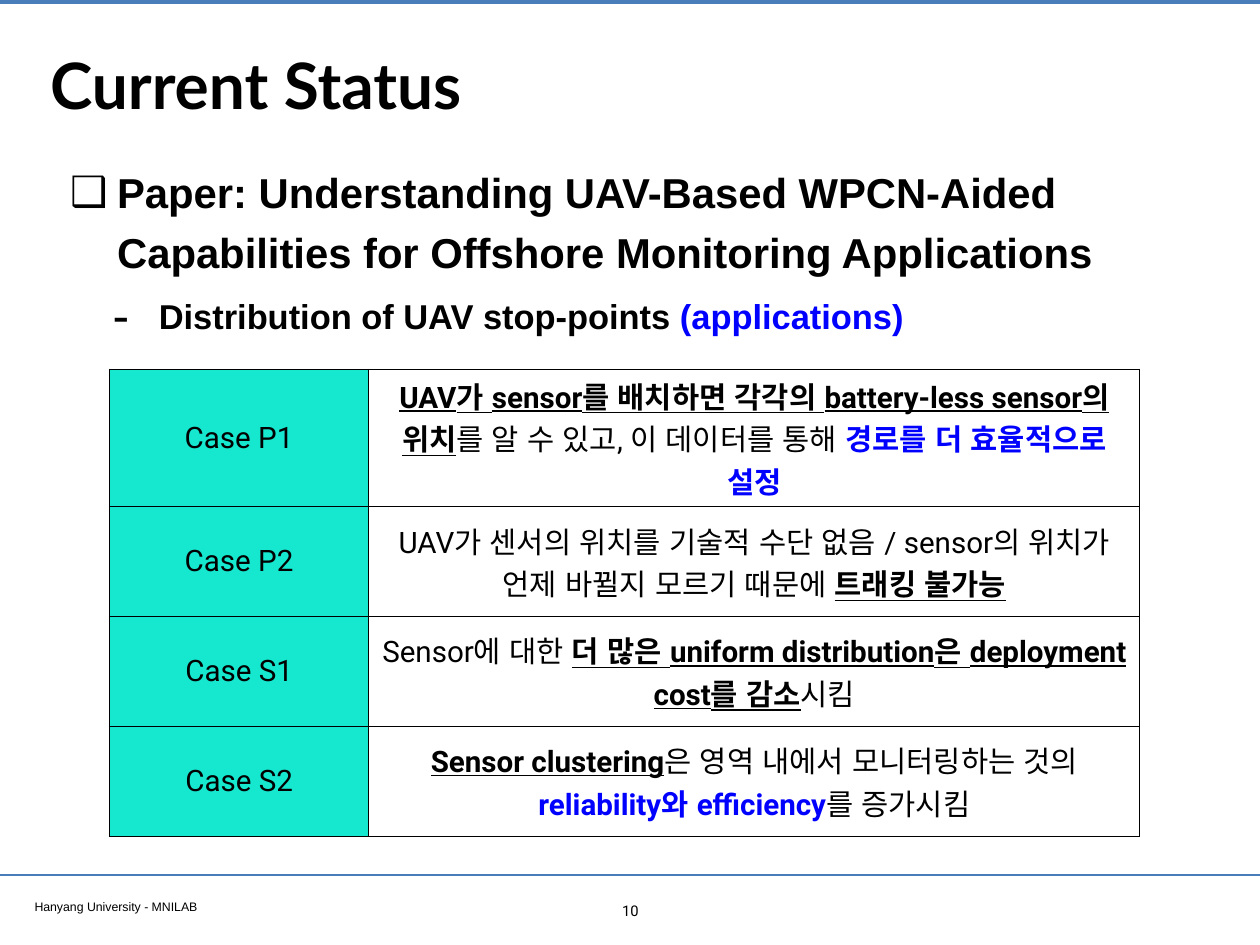
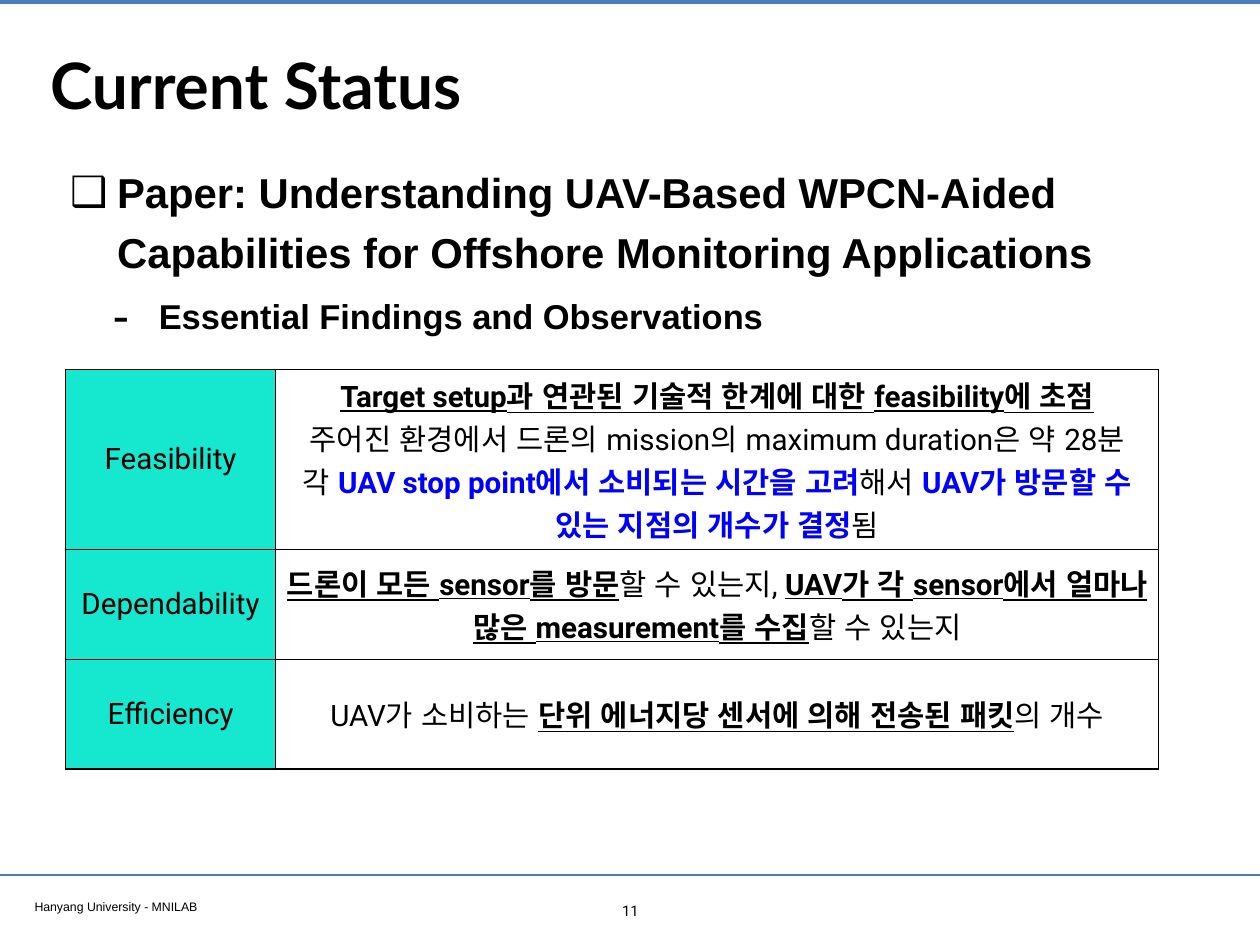
from dataclasses import dataclass

from lxml.etree import SubElement
from pptx import Presentation
from pptx.dml.color import RGBColor
from pptx.enum.lang import MSO_LANGUAGE_ID as Language
from pptx.enum.shapes import MSO_CONNECTOR as Connector
from pptx.enum.text import MSO_ANCHOR as Anchor, MSO_AUTO_SIZE as AutoSize, PP_ALIGN as Align
from pptx.oxml.ns import qn
from pptx.util import Inches, Pt


@dataclass(frozen=True)
class Theme:
    black: str = "000000"
    blue: str = "0000FF"
    rule: str = "4A7EBB"
    label: str = "16E7CF"
    title_font: str = "Lato"
    body_font: str = "Arial"
    table_font: str = "Roboto"
    title_size: int = 52
    topic_size: int = 34
    point_size: int = 28
    table_size: int = 24
    number_size: int = 12
    footer_size: int = 10


@dataclass(frozen=True)
class Span:
    text: str
    blue: bool = False
    bold: bool = False
    underline: bool = False


THEME = Theme()
WIDTH, HEIGHT = Inches(14.22), Inches(10.67)
INSET = Inches(0.06)
TITLE_BOX = (3.55, 2.55, 92.9, 12.65)
BODY_BOX = (5.15, 16.03, 93.88, 29.8)
FOOTER_BOX = (2.32, 94.56, 38.4, 2.44)
NUMBER_BOX = (48.66, 94.85, 2.74, 2.91)
TABLE_TOP, ROW_HEIGHT = 39.08, 11.62
TOPIC = "Paper: Understanding UAV-Based WPCN-Aided Capabilities for Offshore Monitoring Applications"


def across(percent):
    return round(WIDTH * percent / 100)


def down(percent):
    return round(HEIGHT * percent / 100)


def place(box):
    """Turn left, top, width and height in percent of the slide into lengths."""
    left, top, width, height = box
    return across(left), down(top), across(width), down(height)


def key(text):
    return Span(text, bold=True, underline=True)


def blue(text):
    return Span(text, blue=True, bold=True)


def write(paragraph, spans, font, size, bold=False):
    """Fill a paragraph with spans; a bare string is a plain span."""
    for item in spans:
        span = Span(item) if isinstance(item, str) else item
        run = paragraph.add_run()
        run.text = span.text
        run.font.name = font
        run.font.size = Pt(size)
        run.font.bold = bold or span.bold
        run.font.underline = span.underline
        run.font.color.rgb = RGBColor.from_string(THEME.blue if span.blue else THEME.black)
        run.font.language_id = Language.KOREAN


def set_insets(frame):
    frame.word_wrap = True
    frame.margin_left = frame.margin_right = INSET
    frame.margin_top = frame.margin_bottom = INSET


def add_label(slide, box, text, font, size, align=Align.LEFT):
    label = slide.shapes.add_textbox(*place(box))
    set_insets(label.text_frame)
    paragraph = label.text_frame.paragraphs[0]
    paragraph.alignment = align
    write(paragraph, [text], font, size)
    return label


def add_rule(slide, top, weight):
    y = down(top)
    rule = slide.shapes.add_connector(Connector.STRAIGHT, 0, y, WIDTH, y)
    rule.line.color.rgb = RGBColor.from_string(THEME.rule)
    rule.line.width = Pt(weight)
    SubElement(rule.element.spPr, qn("a:effectLst"))
    return rule


def prepare_layout(layout):
    """Place the title and body once and drop the unused footer placeholders."""
    for holder in list(layout.placeholders):
        if holder.placeholder_format.idx > 1:
            holder.element.getparent().remove(holder.element)
    for holder, box in zip(layout.placeholders, (TITLE_BOX, BODY_BOX)):
        holder.left, holder.top, holder.width, holder.height = place(box)
        set_insets(holder.text_frame)
        holder.text_frame.auto_size = AutoSize.NONE


def add_frame(slide):
    """Draw the rules and footer, then hand them to the layout for every slide."""
    parts = [
        add_rule(slide, 0.19, 3.2),
        add_rule(slide, 92.6, 2),
        add_label(slide, FOOTER_BOX, "Hanyang University - MNILAB",
                  THEME.body_font, THEME.footer_size),
    ]
    for part in parts:
        slide.slide_layout.shapes.element.append(part.element)


def set_bullet(paragraph, sign, indent, hanging, percent=100):
    properties = paragraph._p.get_or_add_pPr()
    properties.set("marL", str(Inches(indent)))
    properties.set("indent", str(-Inches(hanging)))
    SubElement(properties, qn("a:buSzPct"), val=str(percent * 1000))
    SubElement(properties, qn("a:buChar"), char=sign)


def fill_title(slide, text):
    frame = slide.shapes.title.text_frame
    frame.vertical_anchor = Anchor.MIDDLE
    paragraph = frame.paragraphs[0]
    paragraph.alignment = Align.LEFT
    write(paragraph, [text], THEME.title_font, THEME.title_size, bold=True)


def fill_body(slide, point):
    frame = slide.placeholders[1].text_frame
    topic, detail = frame.paragraphs[0], frame.add_paragraph()
    detail.level = 1
    set_bullet(topic, "❑", 0.53, 0.53)
    set_bullet(detail, "-", 1, 0.52, 145)
    topic.space_before, detail.space_before = Pt(0), Pt(8)
    topic.line_spacing = detail.line_spacing = 1.2
    write(topic, [TOPIC], THEME.body_font, THEME.topic_size, bold=True)
    write(detail, point, THEME.body_font, THEME.point_size, bold=True)


def set_borders(cell):
    properties = cell._tc.get_or_add_tcPr()
    for side in ("lnL", "lnR", "lnT", "lnB"):
        line = SubElement(properties, qn(f"a:{side}"), w=str(Pt(1)))
        fill = SubElement(line, qn("a:solidFill"))
        SubElement(fill, qn("a:srgbClr"), val=THEME.black)


def fill_cell(cell, paragraphs, color=None):
    set_borders(cell)
    if color:
        cell.fill.solid()
        cell.fill.fore_color.rgb = RGBColor.from_string(color)
    else:
        cell.fill.background()
    cell.vertical_anchor = Anchor.MIDDLE
    frame = cell.text_frame
    for index, spans in enumerate(paragraphs):
        paragraph = frame.add_paragraph() if index else frame.paragraphs[0]
        paragraph.alignment = Align.CENTER
        write(paragraph, spans, THEME.table_font, THEME.table_size)


def add_case_table(slide, left, columns, first_height, rows):
    heights = [first_height] + [ROW_HEIGHT] * (len(rows) - 1)
    box = (left, TABLE_TOP, sum(columns), sum(heights))
    table = slide.shapes.add_table(len(rows), len(columns), *place(box)).table
    table.first_row = table.horz_banding = False
    for column, width in zip(table.columns, columns):
        column.width = across(width)
    for index, (label, paragraphs) in enumerate(rows):
        table.rows[index].height = down(heights[index])
        fill_cell(table.cell(index, 0), [[label]], THEME.label)
        fill_cell(table.cell(index, 1), paragraphs)


STOP_POINTS = [
    ("Case P1", [[key("UAV가 sensor를 배치하면 각각의 battery-less sensor의 위치"),
                  "를 알 수 있고, 이 데이터를 통해 ", blue("경로를 더 효율적으로 설정")]]),
    ("Case P2", [["UAV가 센서의 위치를 기술적 수단 없음 / sensor의 위치가 언제 바뀔지 모르기 때문에 ",
                  key("트래킹 불가능")]]),
    ("Case S1", [["Sensor에 대한 ",
                  key("더 많은 uniform distribution은 deployment cost를 감소"), "시킴"]]),
    ("Case S2", [[key("Sensor clustering"), "은 영역 내에서 모니터링하는 것의 ",
                  blue("reliability와 efficiency"), "를 증가시킴"]]),
]
FINDINGS = [
    ("Feasibility", [
        [key("Target setup과 연관된 기술적 한계에 대한 feasibility에 초점")],
        ["주어진 환경에서 드론의 mission의 maximum duration은 약 28분"],
        ["각 ", blue("UAV stop point에서 소비되는 시간을 고려"), "해서 ",
         blue("UAV가 방문할 수 있는 지점의 개수가 결정"), "됨"],
    ]),
    ("Dependability", [[key("드론이 모든 sensor를 방문"), "할 수 있는지, ",
                        key("UAV가 각 sensor에서 얼마나 많은 measurement를 수집"),
                        "할 수 있는지"]]),
    ("Efficiency", [["UAV가 소비하는 ", key("단위 에너지당 센서에 의해 전송된 패킷"), "의 개수"]]),
]
PAGES = [
    (["Distribution of UAV stop-points ", blue("(applications)")],
     8.68, (20.6, 61.18), 14.55, STOP_POINTS),
    (["Essential Findings and Observations"], 5.2, (16.67, 70.11), 19.06, FINDINGS),
]


def main():
    deck = Presentation()
    deck.slide_width, deck.slide_height = WIDTH, HEIGHT
    layout = deck.slide_layouts[1]
    prepare_layout(layout)
    for number, (point, *table_plan) in enumerate(PAGES, start=10):
        slide = deck.slides.add_slide(layout)
        if number == 10:
            add_frame(slide)
        fill_title(slide, "Current Status")
        fill_body(slide, point)
        add_label(slide, NUMBER_BOX, str(number), THEME.table_font,
                  THEME.number_size, Align.CENTER)
        add_case_table(slide, *table_plan)
    deck.save("out.pptx")


if __name__ == "__main__":
    main()
